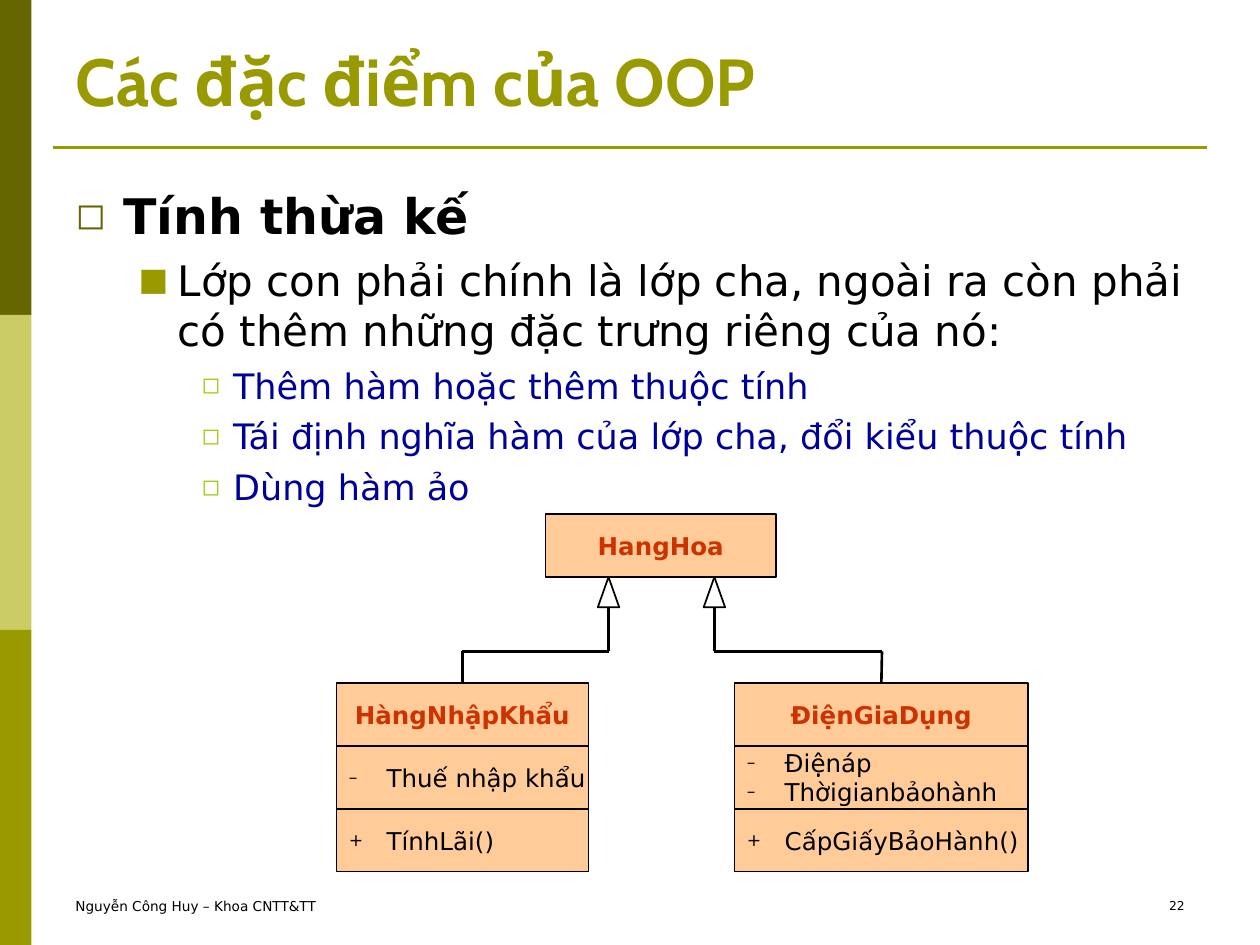
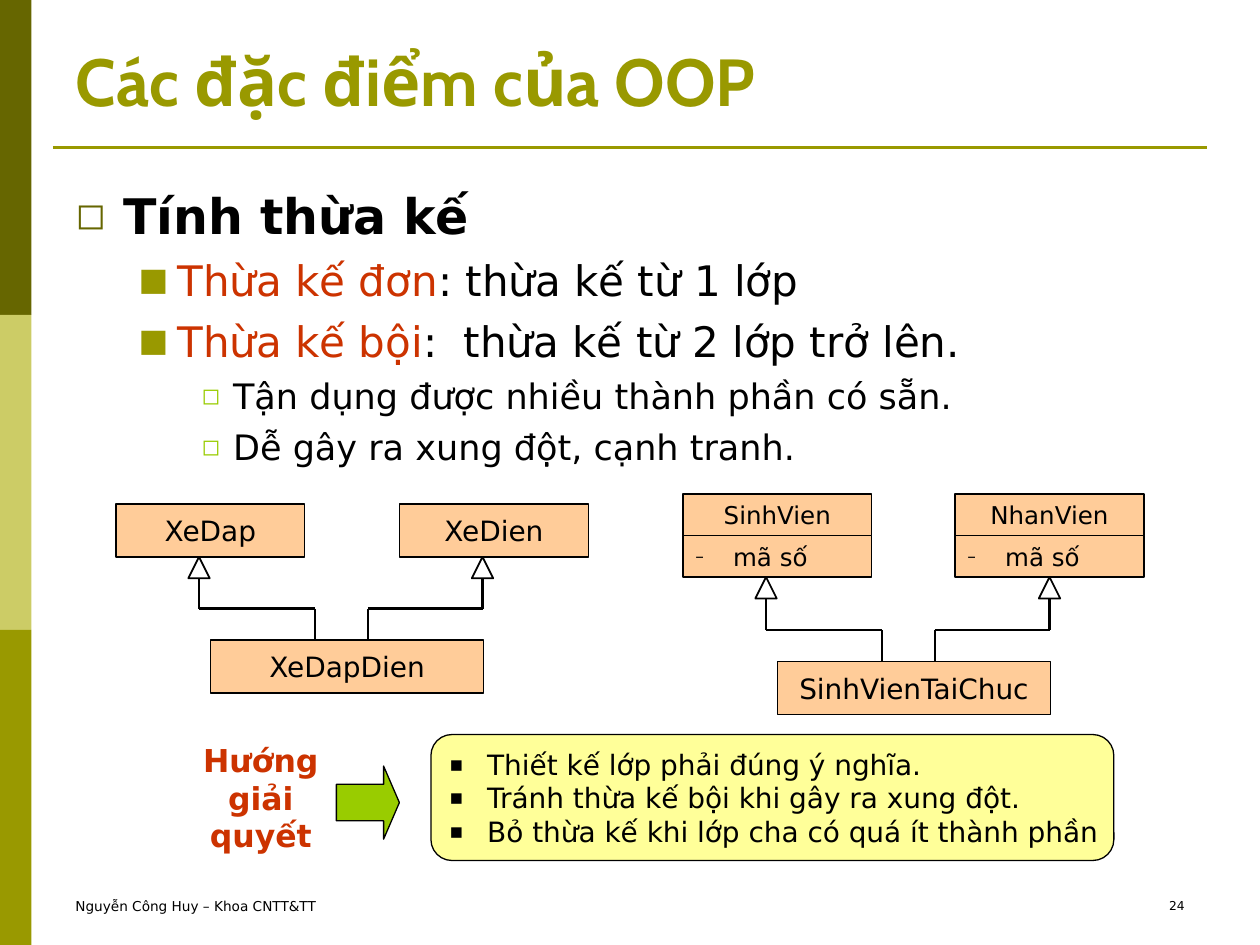
"""Build two slides on inheritance, with class diagrams."""
from lxml.etree import SubElement
from pptx import Presentation
from pptx.dml.color import RGBColor
from pptx.enum.shapes import MSO_CONNECTOR, MSO_SHAPE as SHAPE
from pptx.enum.text import MSO_ANCHOR as ANCHOR, MSO_AUTO_SIZE, PP_ALIGN as ALIGN
from pptx.oxml.ns import qn
from pptx.util import Inches, Pt

TITLE_FONT, FONT = "Cabin", "DejaVu Sans"
DARK, PALE, OLIVE, LIME = "666600", "CCCC66", "999900", "99CC00"
BLACK, RED, NAVY = "000000", "CC3300", "000099"
PEACH, YELLOW = "FFCC99", "FFFF99"
BANDS = [DARK, PALE, OLIVE]
FOOTER = "Nguyễn Công Huy – Khoa CNTT&TT"
TITLE = "Các đặc điểm của OOP"
BEND_GAP, ARROW_WIDTH = 0.25, 0.17

# level: (size, bold, margin, hanging, space before, bullet, bullet colour, bullet %)
LEVELS = [
    (28, True, 0.38, 0.38, 0, "◻", DARK, 75),
    (24, False, 0.81, 0.31, 6, "■", OLIVE, 75),
    (20, False, 1.25, 0.25, 5, "◻", LIME, 65),
]

# classes: name: (left, top, width, row height, name size, member rows)
# links: (parent, tip x, child, foot x)
SLIDES = [
    {
        "number": "22",
        "body_height": 2.75,
        "body": [
            (0, [("Tính thừa kế", BLACK)]),
            (1, [("Lớp con phải chính là lớp cha, ngoài ra còn phải "
                  "có thêm những đặc trưng riêng của nó:", BLACK)]),
            (2, [("Thêm hàm hoặc thêm thuộc tính", NAVY)]),
            (2, [("Tái định nghĩa hàm của lớp cha, đổi kiểu thuộc tính", NAVY)]),
            (2, [("Dùng hàm ảo", NAVY)]),
        ],
        "name_color": RED,
        "name_bold": True,
        "arrow_height": 0.24,
        "classes": {
            "HangHoa": (4.33, 4.08, 1.83, 0.5, 14, []),
            "HàngNhậpKhẩu": (2.67, 5.42, 2, 0.5, 14,
                             [("–", ["Thuế nhập khẩu"]), ("+", ["TínhLãi()"])]),
            "ĐiệnGiaDụng": (5.83, 5.42, 2.33, 0.5, 14,
                            [("–", ["Điệnáp", "Thờigianbảohành"]),
                             ("+", ["CấpGiấyBảoHành()"])]),
        },
        "links": [("HangHoa", 4.83, "HàngNhậpKhẩu", 3.67),
                  ("HangHoa", 5.67, "ĐiệnGiaDụng", 7)],
    },
    {
        "number": "24",
        "body_height": 2.33,
        "body": [
            (0, [("Tính thừa kế", BLACK)]),
            (1, [("Thừa kế đơn", RED), (": thừa kế từ 1 lớp", BLACK)]),
            (1, [("Thừa kế bội", RED), (":  thừa kế từ 2 lớp trở lên.", BLACK)]),
            (2, [("Tận dụng được nhiều thành phần có sẵn.", BLACK)]),
            (2, [("Dễ gây ra xung đột, cạnh tranh.", BLACK)]),
        ],
        "name_color": BLACK,
        "name_bold": False,
        "arrow_height": 0.17,
        "classes": {
            "XeDap": (0.92, 4, 1.5, 0.42, 16, []),
            "XeDien": (3.17, 4, 1.5, 0.42, 16, []),
            "XeDapDien": (1.67, 5.08, 2.17, 0.42, 16, []),
            "SinhVien": (5.42, 3.92, 1.5, 0.33, 14, [("–", ["mã số"])]),
            "NhanVien": (7.58, 3.92, 1.5, 0.33, 14, [("–", ["mã số"])]),
            "SinhVienTaiChuc": (6.17, 5.25, 2.17, 0.42, 16, []),
        },
        "links": [("XeDap", 1.58, "XeDapDien", 2.5),
                  ("XeDien", 3.83, "XeDapDien", 2.92),
                  ("SinhVien", 6.08, "SinhVienTaiChuc", 7),
                  ("NhanVien", 8.33, "SinhVienTaiChuc", 7.42)],
    },
]
SOLUTION = "Hướng giải quyết"
ADVICE = ["Thiết kế lớp phải đúng ý nghĩa.",
          "Tránh thừa kế bội khi gây ra xung đột.",
          "Bỏ thừa kế khi lớp cha có quá ít thành phần"]


def rgb(color):
    return RGBColor.from_string(color)


def add_box(s, kind, at, fill=None, line=None, weight=0.75):
    sp = s.shapes.add_shape(kind, *map(Inches, at))
    sp.shadow.inherit = False
    if fill:
        sp.fill.solid()
        sp.fill.fore_color.rgb = rgb(fill)
    else:
        sp.fill.background()
    if line:
        sp.line.color.rgb = rgb(line)
        sp.line.width = Pt(weight)
    else:
        sp.line.fill.background()
    return sp


def add_line(s, start, end, color=BLACK):
    c = s.shapes.add_connector(MSO_CONNECTOR.STRAIGHT, *map(Inches, start + end))
    c.line.color.rgb = rgb(color)
    c.line.width = Pt(1.5)
    SubElement(c._element.spPr, qn("a:effectLst"))
    return c


def style(p, size, color, bold=False, font=FONT, align=ALIGN.LEFT):
    p.alignment = align
    for r in p.runs:
        r.font.name, r.font.size, r.font.bold = font, Pt(size), bold
        r.font.color.rgb = rgb(color)


def add_bullet(p, char, color, percent, margin, hanging):
    pPr = p._p.get_or_add_pPr()
    pPr.set("marL", str(Inches(margin)))
    pPr.set("indent", str(-Inches(hanging)))
    SubElement(SubElement(pPr, qn("a:buClr")), qn("a:srgbClr"), val=color)
    SubElement(pPr, qn("a:buSzPct"), val=str(percent * 1000))
    SubElement(pPr, qn("a:buFont"), typeface=FONT)
    SubElement(pPr, qn("a:buChar"), char=char)


def write(sp, text, size, color, bold=False, align=ALIGN.LEFT, anchor=ANCHOR.TOP):
    tf = sp.text_frame
    tf.word_wrap, tf.vertical_anchor, tf.text = True, anchor, text
    style(tf.paragraphs[0], size, color, bold, align=align)


def write_list(sp, lines, char, size, percent):
    tf = sp.text_frame
    tf.word_wrap, tf.vertical_anchor, tf.margin_right = True, ANCHOR.MIDDLE, 0
    tf.text = "\n".join(lines)
    for p in tf.paragraphs:
        add_bullet(p, char, BLACK, percent, 0.3, 0.3)
        style(p, size, BLACK)


def add_text(s, at, *args, **kwargs):
    write(s.shapes.add_textbox(*map(Inches, at)), *args, **kwargs)


def place(sp, at):
    sp.left, sp.top, sp.width, sp.height = map(Inches, at)
    sp.text_frame.auto_size = MSO_AUTO_SIZE.NONE
    return sp.text_frame


def add_base(prs, number):
    s = prs.slides.add_slide(prs.slide_layouts[1])
    for i, color in enumerate(BANDS):
        add_box(s, SHAPE.RECTANGLE, (0, 2.5 * i, 0.25, 2.5), color)
    add_line(s, (0.42, 1.17), (9.58, 1.17), OLIVE)
    add_text(s, (0.5, 7.08, 3.17, 0.25), FOOTER, 7.8, BLACK)
    add_text(s, (7.17, 7.08, 2.33, 0.25), number, 7, BLACK, align=ALIGN.RIGHT)
    tf = place(s.shapes.title, (0.5, 0.25, 9.33, 0.75))
    tf.text, tf.vertical_anchor = TITLE, ANCHOR.BOTTOM
    style(tf.paragraphs[0], 38, OLIVE, True, TITLE_FONT)
    return s


def fill_body(s, items, height):
    tf = place(s.placeholders[1], (0.5, 1.42, 9, height))
    for i, (level, parts) in enumerate(items):
        p = tf.add_paragraph() if i else tf.paragraphs[0]
        size, bold, margin, hanging, before, char, color, percent = LEVELS[level]
        p.level, p.space_before = level, Pt(before)
        add_bullet(p, char, color, percent, margin, hanging)
        for text, text_color in parts:
            r = p.add_run()
            r.text = text
            r.font.name, r.font.size, r.font.bold = FONT, Pt(size), bold
            r.font.color.rgb = rgb(text_color)


def add_class(s, name, spec_row, color, bold):
    left, top, width, height, size, rows = spec_row
    head = add_box(s, SHAPE.RECTANGLE, (left, top, width, height), PEACH, BLACK)
    write(head, name, size, color, bold, ALIGN.CENTER, ANCHOR.MIDDLE)
    for i, (char, lines) in enumerate(rows, 1):
        at = (left, top + i * height, width, height)
        write_list(add_box(s, SHAPE.RECTANGLE, at, PEACH, BLACK), lines, char, 14, 70)
    return head


def add_link(s, classes, heads, link, arrow_height):
    parent, tip_x, child, foot_x = link
    _, top, _, height, _, rows = classes[parent]
    tip_y = top + height * (1 + len(rows))
    left, foot_y, width = classes[child][:3]
    bend_y = foot_y - BEND_GAP
    add_box(s, SHAPE.ISOSCELES_TRIANGLE,
            (tip_x - ARROW_WIDTH / 2, tip_y, ARROW_WIDTH, arrow_height),
            line=BLACK, weight=1)
    add_line(s, (tip_x, bend_y), (tip_x, tip_y + arrow_height))
    add_line(s, (foot_x, bend_y), (tip_x, bend_y))
    leg = add_line(s, (foot_x, bend_y), (foot_x, foot_y))
    if abs(left + width / 2 - foot_x) < 0.02:
        leg.end_connect(heads[child], 0)


def add_solution(s):
    add_text(s, (1.48, 5.83, 1.18, 1), SOLUTION, 18, RED, True, ALIGN.CENTER)
    arrow = add_box(s, SHAPE.RIGHT_ARROW, (2.67, 6.08, 0.5, 0.58), LIME, BLACK)
    arrow.adjustments[1] = 0.25
    panel = add_box(s, SHAPE.ROUNDED_RECTANGLE, (3.42, 5.83, 5.42, 1), YELLOW, BLACK)
    write_list(panel, ADVICE, "▪", 16, 75)


def main():
    prs = Presentation()
    prs.slide_width, prs.slide_height = Inches(10), Inches(7.5)
    for data in SLIDES:
        s = add_base(prs, data["number"])
        fill_body(s, data["body"], data["body_height"])
        classes = data["classes"]
        heads = {name: add_class(s, name, row, data["name_color"], data["name_bold"])
                 for name, row in classes.items()}
        for link in data["links"]:
            add_link(s, classes, heads, link, data["arrow_height"])
    add_solution(s)
    prs.save("out.pptx")


if __name__ == "__main__":
    main()
